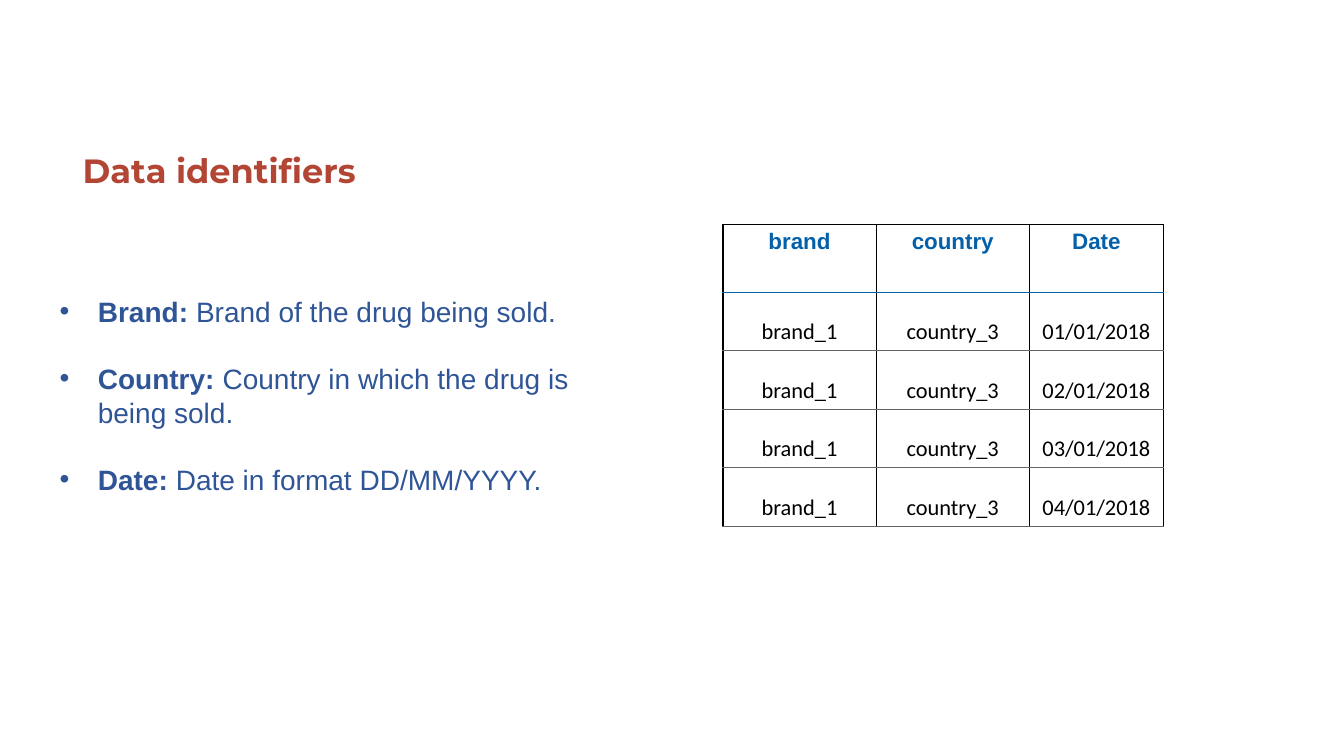
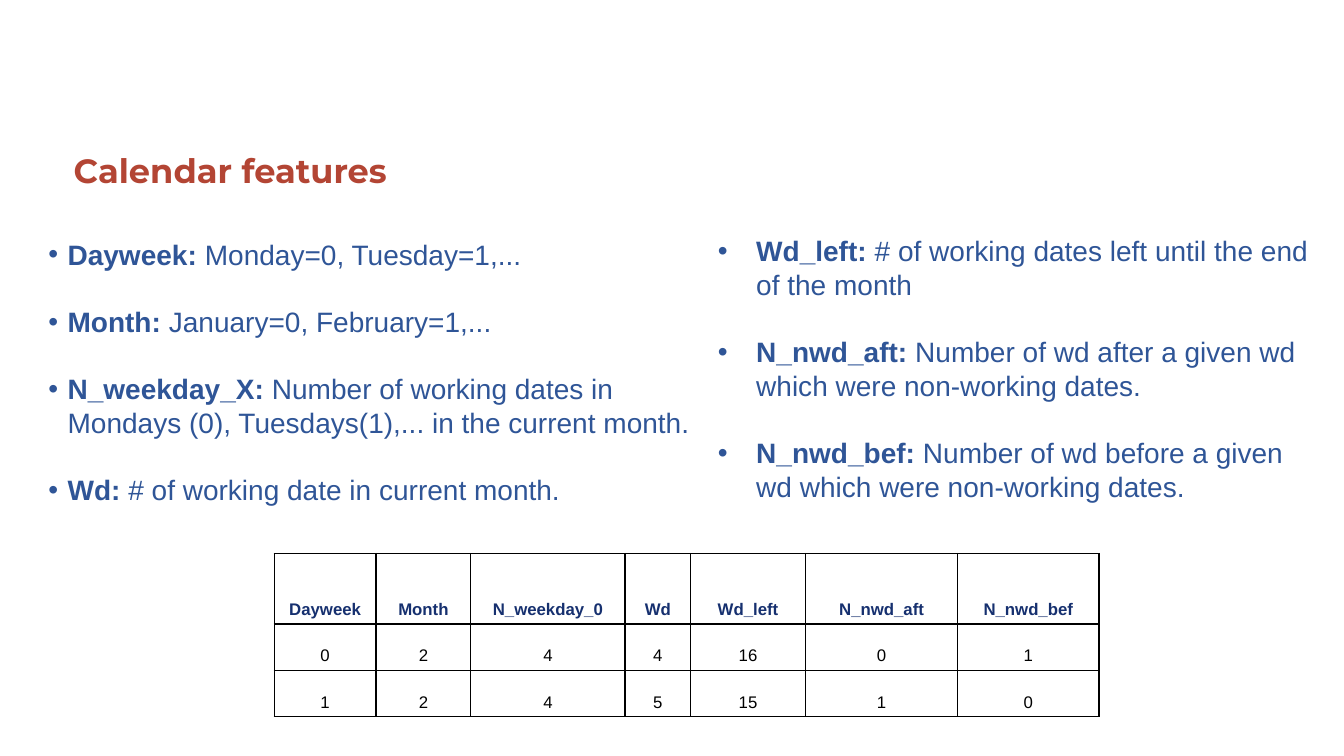
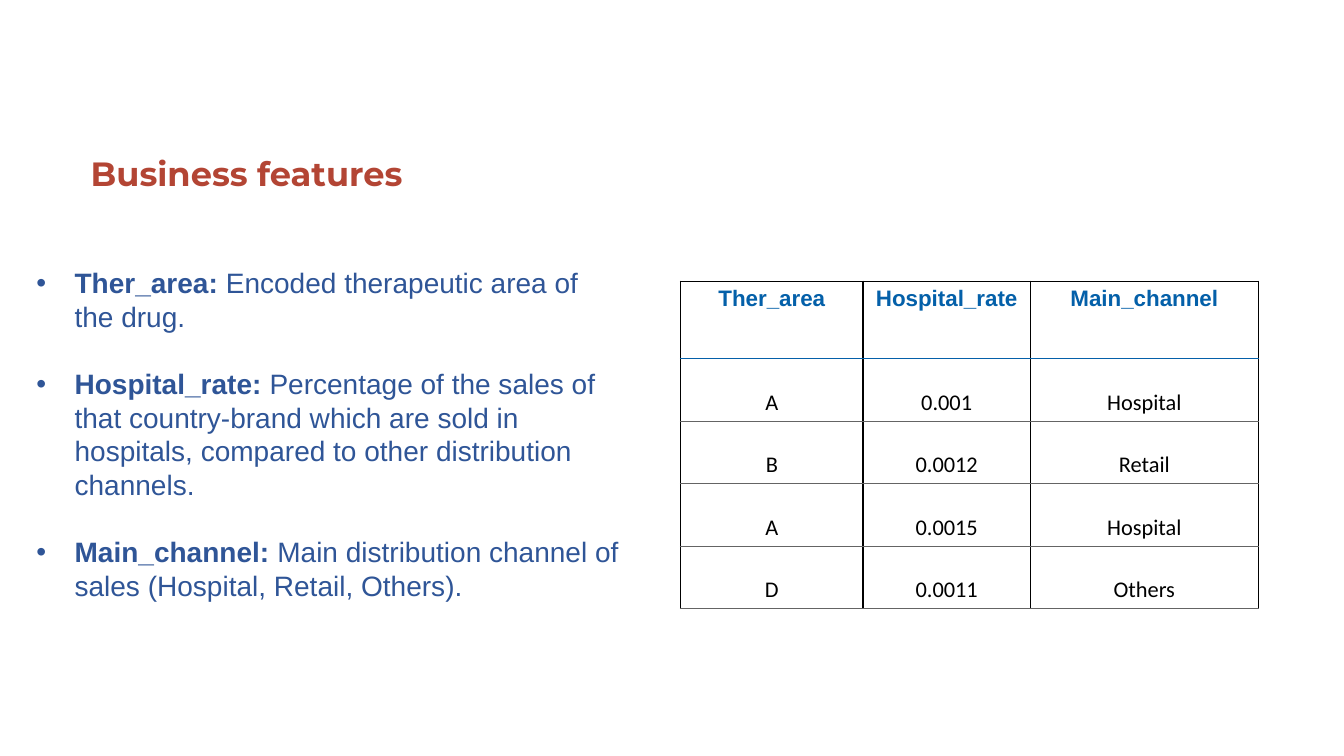
from dataclasses import dataclass
from itertools import product

from lxml.etree import SubElement
from pptx import Presentation
from pptx.dml.color import RGBColor
from pptx.enum.text import MSO_ANCHOR, MSO_AUTO_SIZE, PP_ALIGN
from pptx.oxml.ns import qn
from pptx.util import Inches, Pt

TITLE_RED = RGBColor(0xB3, 0x45, 0x34)
TEXT_BLUE = RGBColor(0x2F, 0x55, 0x97)
HEADER_BLUE = RGBColor(0x04, 0x60, 0xA9)
HEADER_NAVY = RGBColor(0x16, 0x30, 0x6F)
BLACK = RGBColor(0, 0, 0)
GRAY = RGBColor(0x64, 0x64, 0x64)
WHITE = RGBColor(0xFF, 0xFF, 0xFF)

CONTENT_LAYOUT, TWO_CONTENT_LAYOUT = 1, 3
TITLE_FONT = {"name": "Montserrat", "size": Pt(24), "bold": True}
LIST_FONT = {"name": "Arial", "size": Pt(20)}
LIST_LINE = Pt(24)
HEADER_MARGINS = (0.1, 0.05, 0.1, 0.05)
BODY_MARGINS = (0.01, 0.01, 0.01, 0.05)


@dataclass(frozen=True)
class Border:
    color: RGBColor
    points: float


@dataclass(frozen=True)
class CellStyle:
    font: dict
    color: RGBColor
    anchor: MSO_ANCHOR
    margins: tuple
    fill: RGBColor | None = None


@dataclass(frozen=True)
class TableStyle:
    """Looks of a table; rules are the lines above, below the header and between rows."""
    header: CellStyle
    body: CellStyle
    top: Border
    below_header: Border
    between: Border


@dataclass(frozen=True)
class BulletList:
    box: tuple
    indent: float
    items: list[tuple[str, str]]


@dataclass(frozen=True)
class DataTable:
    left: float
    top: float
    columns: list[float]
    header_height: float
    row_height: float
    rows: list[tuple]
    style: TableStyle


@dataclass(frozen=True)
class SlideContent:
    title: str
    title_position: tuple
    lists: list[BulletList]
    table: DataTable


OUTLINE = Border(BLACK, 1)
RULED = TableStyle(
    CellStyle({"name": "Arial", "size": Pt(16), "bold": True}, HEADER_BLUE,
              MSO_ANCHOR.TOP, HEADER_MARGINS),
    CellStyle({"name": "Calibri", "size": Pt(16), "bold": False}, BLACK,
              MSO_ANCHOR.BOTTOM, BODY_MARGINS),
    OUTLINE, Border(HEADER_BLUE, 0.8), Border(GRAY, 0.5))
GRID = TableStyle(
    CellStyle({"name": "Arial", "size": Pt(12), "bold": True}, HEADER_NAVY,
              MSO_ANCHOR.BOTTOM, BODY_MARGINS, WHITE),
    CellStyle({"name": "Arial", "size": Pt(12), "bold": False}, BLACK,
              MSO_ANCHOR.BOTTOM, BODY_MARGINS, WHITE),
    OUTLINE, OUTLINE, OUTLINE)

SLIDES = [
    SlideContent(
        "Data identifiers", (0.72, 1.48),
        [BulletList((0.49, 1.98, 5.76, 3.88), 0.38, [
            ("Brand: ", "Brand of the drug being sold."),
            ("Country: ", "Country in which the drug is being sold."),
            ("Date: ", "Date in format DD/MM/YYYY."),
        ])],
        DataTable(7.17, 2.23, [1.52, 1.52, 1.33], 0.67, 0.58, [
            ("brand", "country", "Date"),
            *(("brand_1", "country_3", f"{day:02}/01/2018") for day in range(1, 5)),
        ], RULED)),
    SlideContent(
        "Calendar features", (0.63, 1.48),
        [BulletList((0.38, 1.9, 6.84, 3.58), 0.19, [
            ("Dayweek: ", "Monday=0, Tuesday=1,..."),
            ("Month: ", "January=0, February=1,..."),
            ("N_weekday_X: ", "Number of working dates in Mondays (0), "
                              "Tuesdays(1),... in the current month."),
            ("Wd:", " # of working date in current month."),
        ]),
         BulletList((7.02, 1.85, 6.1, 3.61), 0.38, [
             ("Wd_left: ", "# of working dates left until the end of the month"),
             ("N_nwd_aft:", " Number of wd after a given wd which were "
                            "non-working dates."),
             ("N_nwd_bef:", " Number of wd before a given wd which were "
                            "non-working dates."),
         ])],
        DataTable(2.72, 5.49, [1.01, 0.94, 1.53, 0.65, 1.14, 1.51, 1.4], 0.7, 0.46, [
            ("Dayweek", "Month", "N_weekday_0", "Wd", "Wd_left", "N_nwd_aft", "N_nwd_bef"),
            ("0", "2", "4", "4", "16", "0", "1"),
            ("1", "2", "4", "5", "15", "1", "0"),
        ], GRID)),
    SlideContent(
        "Business features", (0.8, 1.51),
        [BulletList((0.26, 2.16, 5.98, 4.29), 0.38, [
            ("Ther_area:", " Encoded therapeutic area of the drug."),
            ("Hospital_rate: ", "Percentage of the sales of that country-brand which are "
                                "sold in hospitals, compared to other distribution channels."),
            ("Main_channel: ", "Main distribution channel of sales "
                               "(Hospital, Retail, Others)."),
        ])],
        DataTable(6.75, 2.79, [1.81, 1.66, 2.26], 0.77, 0.62, [
            ("Ther_area", "Hospital_rate", "Main_channel"),
            ("A", "0.001", "Hospital"),
            ("B", "0.0012", "Retail"),
            ("A", "0.0015", "Hospital"),
            ("D", "0.0011", "Others"),
        ], RULED)),
]


def set_attributes(target, values: dict) -> None:
    for name, value in values.items():
        setattr(target, name, value)


def format_font(font, values: dict, color: RGBColor) -> None:
    set_attributes(font, values)
    font.color.rgb = color


def place(shape, box: tuple) -> None:
    names = ("left", "top", "width", "height")
    set_attributes(shape, dict(zip(names, map(Inches, box))))


def fill_title(shape, text: str, position: tuple) -> None:
    place(shape, (*position, 7.58, 0.8))
    frame = shape.text_frame
    set_attributes(frame, {"text": text, "word_wrap": True,
                           "auto_size": MSO_AUTO_SIZE.NONE,
                           "vertical_anchor": MSO_ANCHOR.TOP})
    paragraph = frame.paragraphs[0]
    set_attributes(paragraph, {"alignment": PP_ALIGN.LEFT, "line_spacing": 0.9})
    format_font(paragraph.runs[0].font, TITLE_FONT, TITLE_RED)


def fill_list(shape, bullets: BulletList) -> None:
    place(shape, bullets.box)
    frame = shape.text_frame
    set_attributes(frame, {"word_wrap": True, "auto_size": MSO_AUTO_SIZE.NONE,
                           "vertical_anchor": MSO_ANCHOR.MIDDLE})
    for index, (term, meaning) in enumerate(bullets.items):
        paragraph = frame.add_paragraph() if index else frame.paragraphs[0]
        set_attributes(paragraph, {"line_spacing": LIST_LINE, "space_after": Pt(0),
                                   "space_before": LIST_LINE if index else Pt(0)})
        properties = paragraph._p.get_or_add_pPr()
        properties.set("marL", str(Inches(bullets.indent)))
        properties.set("indent", str(-Inches(bullets.indent)))
        for text, bold in ((term, True), (meaning, False)):
            run = paragraph.add_run()
            run.text = text
            format_font(run.font, LIST_FONT | {"bold": bold}, TEXT_BLUE)


def set_borders(cell, top: Border, bottom: Border) -> None:
    """Add the four border lines, which must come before the cell's fill."""
    properties = cell._tc.get_or_add_tcPr()
    borders = {"lnL": OUTLINE, "lnR": OUTLINE, "lnT": top, "lnB": bottom}
    for position, (tag, border) in enumerate(borders.items()):
        line = SubElement(properties, qn(f"a:{tag}"), w=str(Pt(border.points)))
        properties.insert(position, line)
        fill = SubElement(line, qn("a:solidFill"))
        SubElement(fill, qn("a:srgbClr"), val=str(border.color))


def fill_cell(cell, text: str, style: CellStyle) -> None:
    cell.text = text
    names = ("margin_left", "margin_top", "margin_right", "margin_bottom")
    set_attributes(cell, dict(zip(names, map(Inches, style.margins))))
    cell.vertical_anchor = style.anchor
    if style.fill is None:
        cell.fill.background()
    else:
        cell.fill.solid()
        cell.fill.fore_color.rgb = style.fill
    paragraph = cell.text_frame.paragraphs[0]
    paragraph.alignment = PP_ALIGN.CENTER
    format_font(paragraph.runs[0].font, style.font, style.color)


def add_data_table(slide, data: DataTable) -> None:
    style = data.style
    row_count, column_count = len(data.rows), len(data.columns)
    heights = [data.header_height] + [data.row_height] * (row_count - 1)
    table = slide.shapes.add_table(
        row_count, column_count, Inches(data.left), Inches(data.top),
        Inches(sum(data.columns)), Inches(sum(heights))).table
    set_attributes(table, {"first_row": False, "horz_banding": False})
    for column, width in zip(table.columns, data.columns):
        column.width = Inches(width)
    for row, height in zip(table.rows, heights):
        row.height = Inches(height)
    rules = [style.top, style.below_header] + [style.between] * (row_count - 1)
    for row, column in product(range(row_count), range(column_count)):
        cell = table.cell(row, column)
        fill_cell(cell, data.rows[row][column], style.body if row else style.header)
        set_borders(cell, rules[row], rules[row + 1])


def add_content_slide(presentation, content: SlideContent) -> None:
    layout = TWO_CONTENT_LAYOUT if len(content.lists) > 1 else CONTENT_LAYOUT
    slide = presentation.slides.add_slide(presentation.slide_layouts[layout])
    fill_title(slide.shapes.title, content.title, content.title_position)
    for index, bullets in enumerate(content.lists, start=1):
        fill_list(slide.placeholders[index], bullets)
    add_data_table(slide, content.table)


def main() -> None:
    presentation = Presentation()
    set_attributes(presentation, {"slide_width": Inches(13.33), "slide_height": Inches(7.5)})
    for content in SLIDES:
        add_content_slide(presentation, content)
    presentation.save("out.pptx")


if __name__ == "__main__":
    main()
